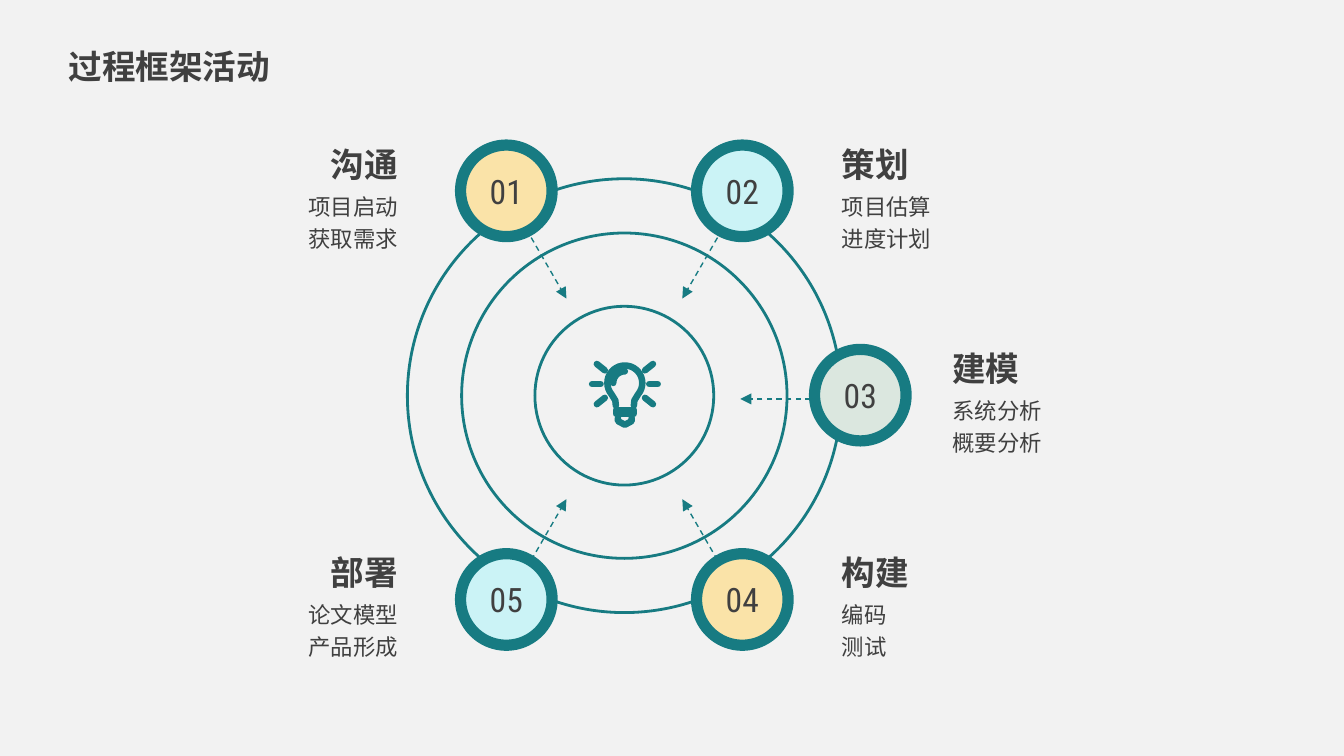
from math import cos, radians, sin

from lxml.etree import SubElement
from pptx import Presentation
from pptx.dml.color import RGBColor
from pptx.enum.dml import MSO_LINE
from pptx.enum.shapes import MSO_CONNECTOR, MSO_SHAPE
from pptx.enum.text import MSO_ANCHOR, MSO_AUTO_SIZE, PP_ALIGN
from pptx.oxml.ns import qn
from pptx.util import Cm, Pt

TEAL, DARK, PAPER = "177B82", "404040", "F2F2F2"
YELLOW, AQUA, SAGE = "FAE3A8", "CBF3F6", "DBE7DF"
CJK_FONT = "Noto Sans CJK SC"
CENTRE_X, CENTRE_Y = 11.8, 7.48
ORBIT, NODE_SIZE = 4.46, 1.73
LEFT_LABEL_EDGE = 7.77

# number, angle, fill, heading, lines, label edge, heading width, body width
ACTIVITIES = [
    ("01", 240, YELLOW, "沟通", ("项目启动", "获取需求"), LEFT_LABEL_EDGE, 2.18, 3.71),
    ("02", 300, AQUA, "策划", ("项目估算", "进度计划"), 15.66, 5.66, 2.26),
    ("03", 0, SAGE, "建模", ("系统分析", "概要分析"), 17.75, 3.0, 3.94),
    ("04", 60, YELLOW, "构建", ("编码", "测试"), 15.66, 1.9, 3.23),
    ("05", 120, AQUA, "部署", ("论文模型", "产品形成"), LEFT_LABEL_EDGE, 2.18, 3.71),
]


def colour(value):
    return RGBColor.from_string(value)


def polar(x, y, radius, angle):
    return x + radius * cos(radians(angle)), y + radius * sin(radians(angle))


def add_span(para, text, size, font, bold=False):
    span = para.add_run()
    span.text = text
    span.font.size, span.font.name, span.font.bold = Pt(size), font, bold
    span.font.color.rgb = colour(DARK)
    SubElement(span.font._element, qn("a:ea")).set("typeface", CJK_FONT)


def add_title(page, text):
    title = page.shapes.title
    title.left, title.top, title.width, title.height = Cm(1.04), Cm(0.74), Cm(5.6), Cm(1.02)
    frame = title.text_frame
    frame.auto_size = MSO_AUTO_SIZE.NONE
    frame.vertical_anchor = MSO_ANCHOR.TOP
    para = frame.paragraphs[0]
    para.alignment = PP_ALIGN.LEFT
    add_span(para, text, 18, CJK_FONT, True)


def add_label(page, left, top, width, height, lines, size, align, bold=False):
    box = page.shapes.add_textbox(Cm(left), Cm(top), Cm(width), Cm(height))
    frame = box.text_frame
    frame.word_wrap = True
    for index, line in enumerate(lines):
        para = frame.add_paragraph() if index else frame.paragraphs[0]
        para.alignment, para.line_spacing = align, 1.2
        add_span(para, line, size, "Arial", bold)


def add_circle(page, x, y, size, line_width, fill=None, kind=MSO_SHAPE.OVAL):
    circle = page.shapes.add_shape(
        kind, Cm(x - size / 2), Cm(y - size / 2), Cm(size), Cm(size))
    circle.shadow.inherit = False
    if fill:
        circle.fill.solid()
        circle.fill.fore_color.rgb = colour(fill)
    else:
        circle.fill.background()
    circle.line.color.rgb = colour(TEAL)
    circle.line.width = Pt(line_width)
    return circle


def add_line(page, start, end, width):
    line = page.shapes.add_connector(
        MSO_CONNECTOR.STRAIGHT, *(Cm(value) for value in (*start, *end)))
    line.line.color.rgb = colour(TEAL)
    line.line.width = Pt(width)
    SubElement(line._element.spPr, qn("a:effectLst"))
    return line


def add_arrow(page, angle):
    y = CENTRE_Y + 0.06
    arrow = add_line(page, polar(CENTRE_X, y, 3.52, angle),
                     polar(CENTRE_X, y, 2.19, angle), 0.75)
    arrow.line.dash_style = MSO_LINE.DASH
    SubElement(arrow.line._get_or_add_ln(), qn("a:tailEnd")).set("type", "triangle")


def round_caps(shape):
    shape.line._get_or_add_ln().set("cap", "rnd")


def add_stroke(page, points, close=False):
    points = [(Cm(x), Cm(y)) for x, y in points]
    builder = page.shapes.build_freeform(*points[0])
    builder.add_line_segments(points[1:], close=close)
    stroke = builder.convert_to_shape()
    stroke.shadow.inherit = False
    stroke.fill.background()
    stroke.line.color.rgb = colour(TEAL)
    stroke.line.width = Pt(3.5)
    round_caps(stroke)


def add_bulb(page, x, y):
    # Glass, highlight, socket and tip
    glass = [polar(x, y, 0.33, angle) for angle in range(140, 401, 10)]
    add_stroke(page, [(x - 0.17, y + 0.43), (x - 0.18, y + 0.33), *glass,
                      (x + 0.18, y + 0.33), (x + 0.17, y + 0.43)])
    add_stroke(page, [polar(x, y, 0.22, angle) for angle in range(180, 271, 10)])
    add_stroke(page, [(x - 0.17, y + 0.51), (x + 0.17, y + 0.51),
                      (x + 0.17, y + 0.58), (x - 0.17, y + 0.58)], close=True)
    add_stroke(page, [(x - 0.13, y + 0.66), (x - 0.13, y + 0.72), (x, y + 0.79),
                      (x + 0.13, y + 0.72), (x + 0.13, y + 0.66)])
    # Rays, mirrored on both sides
    for side in (-1, 1):
        for inner, outer in (((0.38, -0.24), (0.53, -0.36)),
                             ((0.46, 0.02), (0.62, 0.02)),
                             ((0.38, 0.28), (0.53, 0.4))):
            ray = add_line(page, (x + side * inner[0], y + inner[1]),
                           (x + side * outer[0], y + outer[1]), 3.5)
            round_caps(ray)


def add_node(page, number, angle, fill):
    x, y = polar(CENTRE_X, CENTRE_Y - 0.01, ORBIT, angle)
    node = add_circle(page, x, y, NODE_SIZE, 6, fill)
    frame = node.text_frame
    frame.word_wrap = False
    frame.vertical_anchor = MSO_ANCHOR.MIDDLE
    para = frame.paragraphs[0]
    para.alignment = PP_ALIGN.CENTER
    add_span(para, number, 18, "Roboto Condensed")


def add_description(page, angle, heading, lines, edge, heading_width, body_width):
    y = polar(CENTRE_X, CENTRE_Y, ORBIT, angle)[1]
    on_left = edge < CENTRE_X
    align = PP_ALIGN.RIGHT if on_left else PP_ALIGN.LEFT
    for content, top, width, height, size, bold in (
            (lines, y - 0.2, body_width, 1.5, 12, False),
            ((heading,), y - 1.18, heading_width, 1.17, 18, True)):
        left = edge - width if on_left else edge
        add_label(page, left, top, width, height, content, size, align, bold)


def main():
    deck = Presentation()
    deck.slide_width, deck.slide_height = Cm(25.4), Cm(14.29)
    page = deck.slides.add_slide(deck.slide_layouts[5])
    page.background.fill.solid()
    page.background.fill.fore_color.rgb = colour(PAPER)
    add_title(page, "过程框架活动")

    # Concentric rings
    ring = add_circle(page, CENTRE_X, CENTRE_Y, 8.2, 1.5, kind=MSO_SHAPE.DONUT)
    ring.adjustments[0] = 0.125
    add_circle(page, CENTRE_X, CENTRE_Y, 3.38, 1.5)

    # Arrows, numbered nodes and their descriptions
    for _, angle, *_ in ACTIVITIES:
        add_arrow(page, angle)
    for number, angle, fill, *description in ACTIVITIES:
        add_node(page, number, angle, fill)
        add_description(page, angle, *description)

    add_bulb(page, CENTRE_X + 0.01, 7.24)
    deck.save("out.pptx")


if __name__ == "__main__":
    main()
